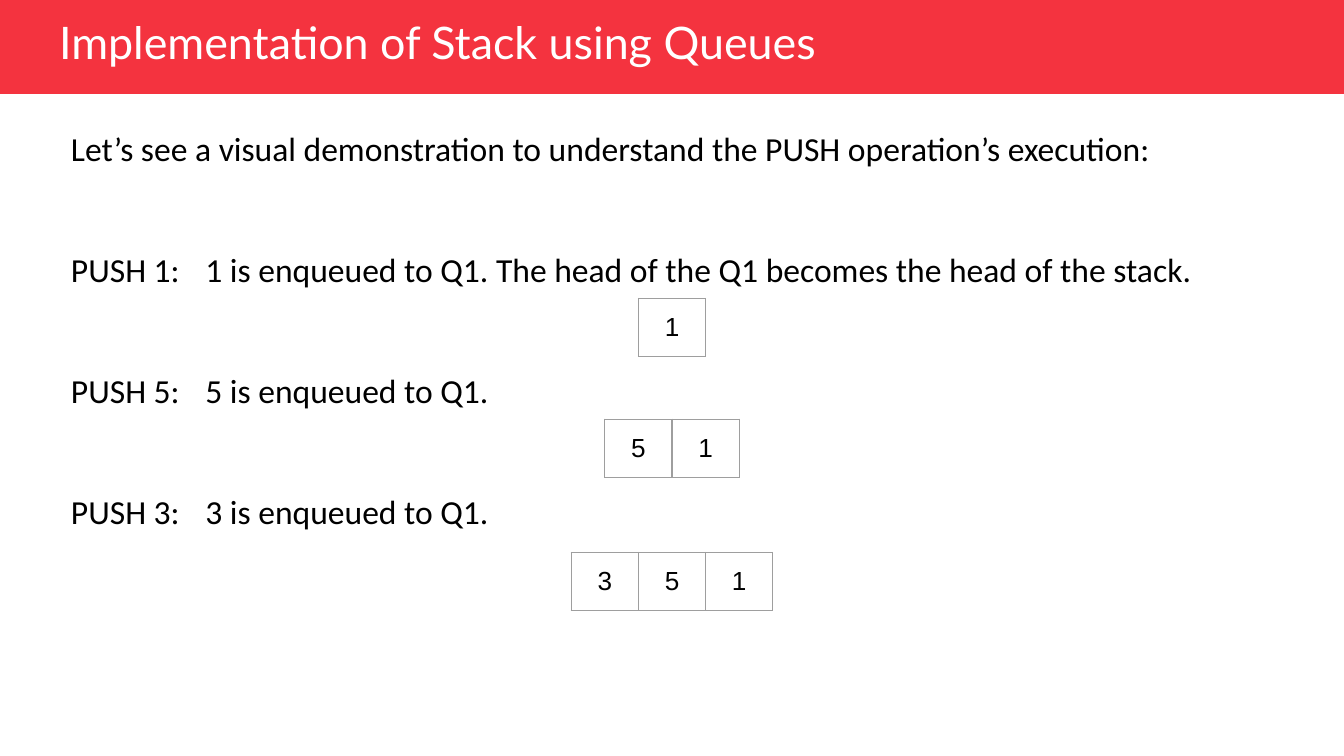
"""Build the slide on pushing values to a stack made of queues."""
from lxml.etree import SubElement as Sub
from pptx import Presentation
from pptx.dml.color import RGBColor as RGB
from pptx.enum.shapes import MSO_SHAPE as Shape
from pptx.enum.text import MSO_ANCHOR as Anchor, PP_ALIGN as Align
from pptx.oxml.ns import qn
from pptx.util import Inches, Pt

HUES = {"bar": "F4333F", "title": "FFFFFF", "text": "000000", "edge": "9E9E9E"}
TITLE = "Implementation of Stack using Queues"
LINES = [
    "Let’s see a visual demonstration to understand the PUSH operation’s execution:",
    "PUSH 1:\t1 is enqueued to Q1. The head of the Q1 becomes the head of the stack.",
    "PUSH 5:\t5 is enqueued to Q1.",
    "PUSH 3:\t3 is enqueued to Q1.",
]
QUEUES = [(2.22, 0.42, "1"), (3.12, 0.43, "51"), (4.11, 0.43, "351")]
WIDE, CELL = 10, 0.5


def hue(key):
    return RGB.from_string(HUES[key])


def style(para, font, size, key, align=Align.LEFT):
    para.font.name, para.font.size = font, Pt(size)
    para.font.color.rgb = hue(key)
    para.alignment = align


def inset(item, pad):
    item.margin_left = item.margin_right = Inches(pad)
    item.margin_top = item.margin_bottom = Inches(pad)


def edge(cell):
    props = cell._tc.get_or_add_tcPr()
    for side in "LRTB":
        line = Sub(props, qn(f"a:ln{side}"), w=str(Pt(0.75)))
        Sub(Sub(line, qn("a:solidFill")), qn("a:srgbClr"), val=HUES["edge"])


def add_head(slide):
    bar = slide.shapes.add_shape(Shape.RECTANGLE, 0, 0, Inches(WIDE), Inches(0.7))
    bar.shadow.inherit = False
    bar.fill.solid()
    bar.fill.fore_color.rgb = hue("bar")
    bar.line.fill.background()
    slide.shapes._spTree.insert(2, bar._element)
    title = slide.shapes.title
    title.left, title.top = Inches(0.43), Inches(0.1)
    title.width, title.height = Inches(7.59), Inches(0.43)
    frame = title.text_frame
    inset(frame, 0.01)
    frame.vertical_anchor = Anchor.TOP
    frame.text = TITLE
    style(frame.paragraphs[0], "Lato", 24, "title")


def add_steps(slide):
    box = slide.shapes.add_textbox(Inches(0.43), Inches(0.85), Inches(9.14), Inches(1.41))
    frame = box.text_frame
    frame.word_wrap = True
    inset(frame, 0.1)
    frame.text = "\n".join(LINES)
    for para in frame.paragraphs:
        style(para, "Calibri", 18, "text")
        para.space_after = Pt(43.3)


def add_queue(slide, top, high, items):
    wide = CELL * len(items)
    table = slide.shapes.add_table(
        1, len(items), Inches((WIDE - wide) / 2), Inches(top), Inches(wide), Inches(high)
    ).table
    table.first_row = table.horz_banding = False
    for cell, item in zip(table.iter_cells(), items):
        cell.text = item
        inset(cell, 0.1)
        cell.vertical_anchor = Anchor.MIDDLE
        style(cell.text_frame.paragraphs[0], "Arial", 14, "text", Align.CENTER)
        edge(cell)
        cell.fill.background()


def main():
    deck = Presentation()
    deck.slide_width, deck.slide_height = Inches(WIDE), Inches(WIDE * 9 / 16)
    slide = deck.slides.add_slide(deck.slide_layouts[5])
    add_head(slide)
    add_steps(slide)
    for queue in QUEUES:
        add_queue(slide, *queue)
    deck.save("out.pptx")


if __name__ == "__main__":
    main()
